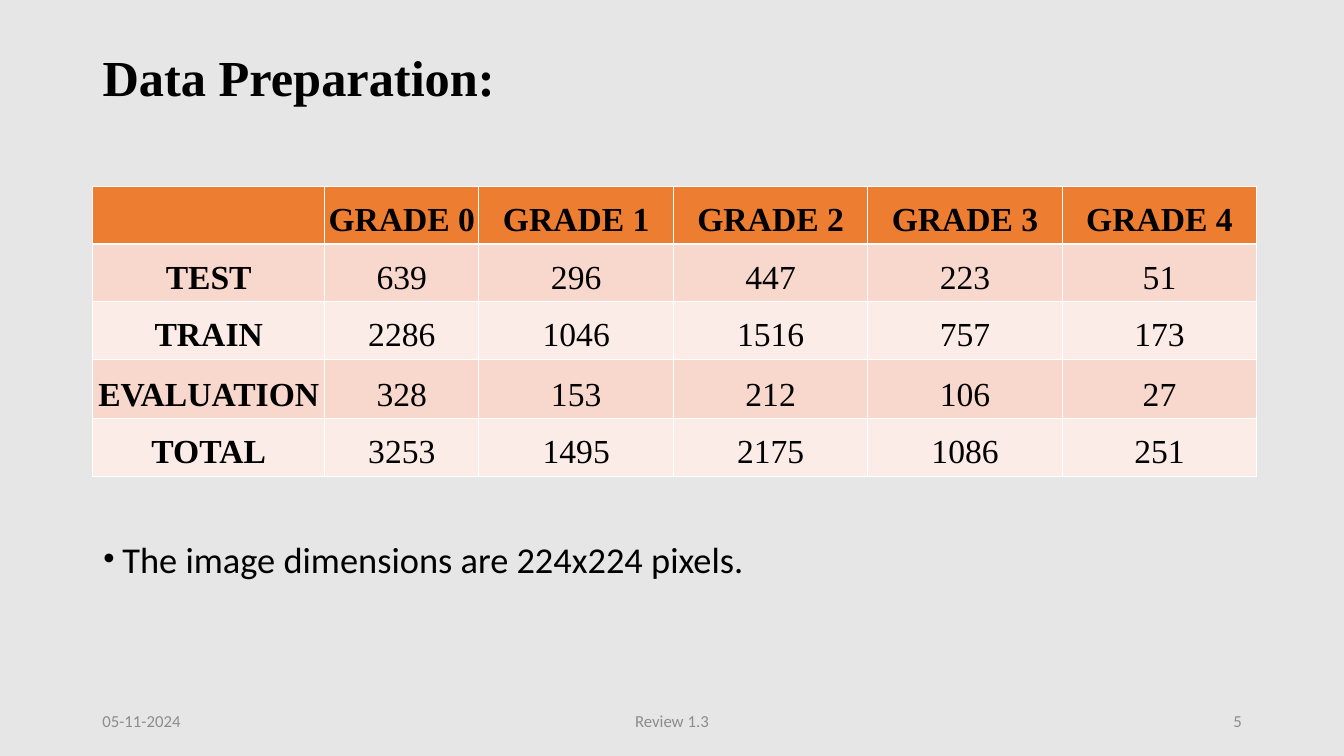
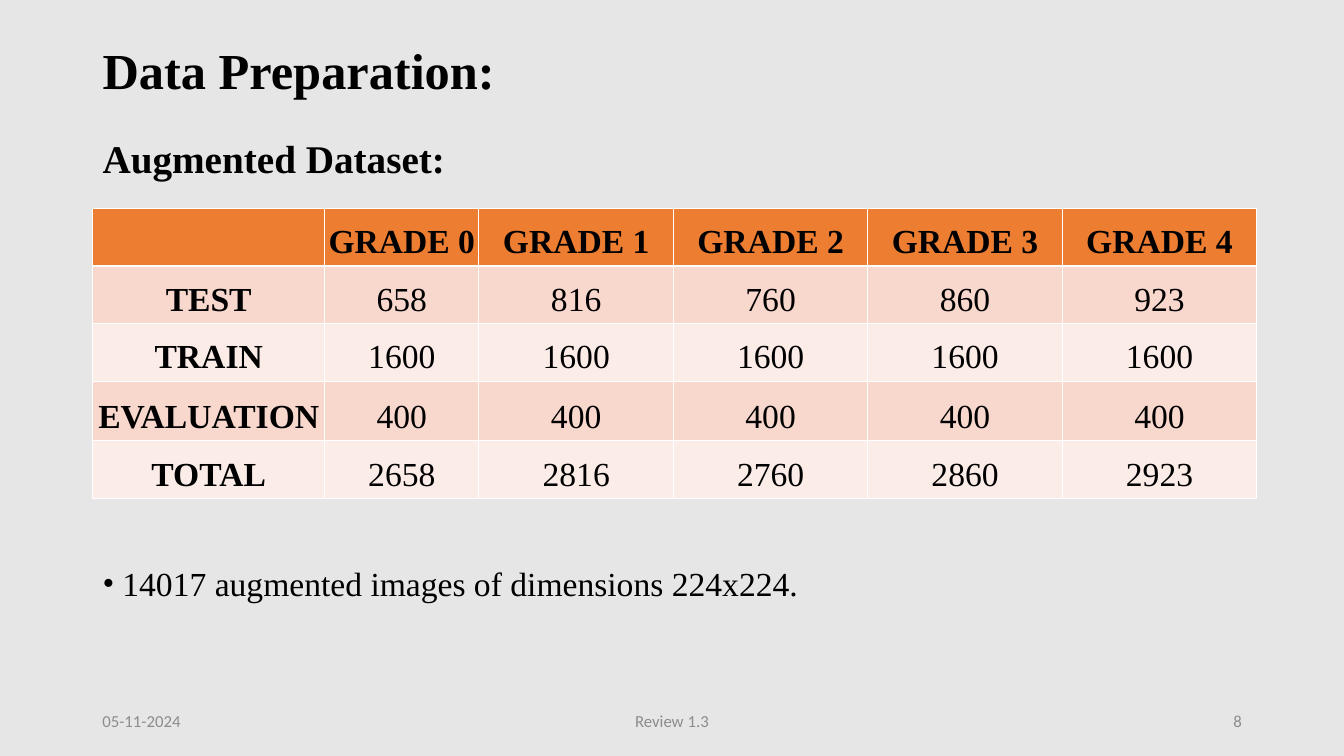
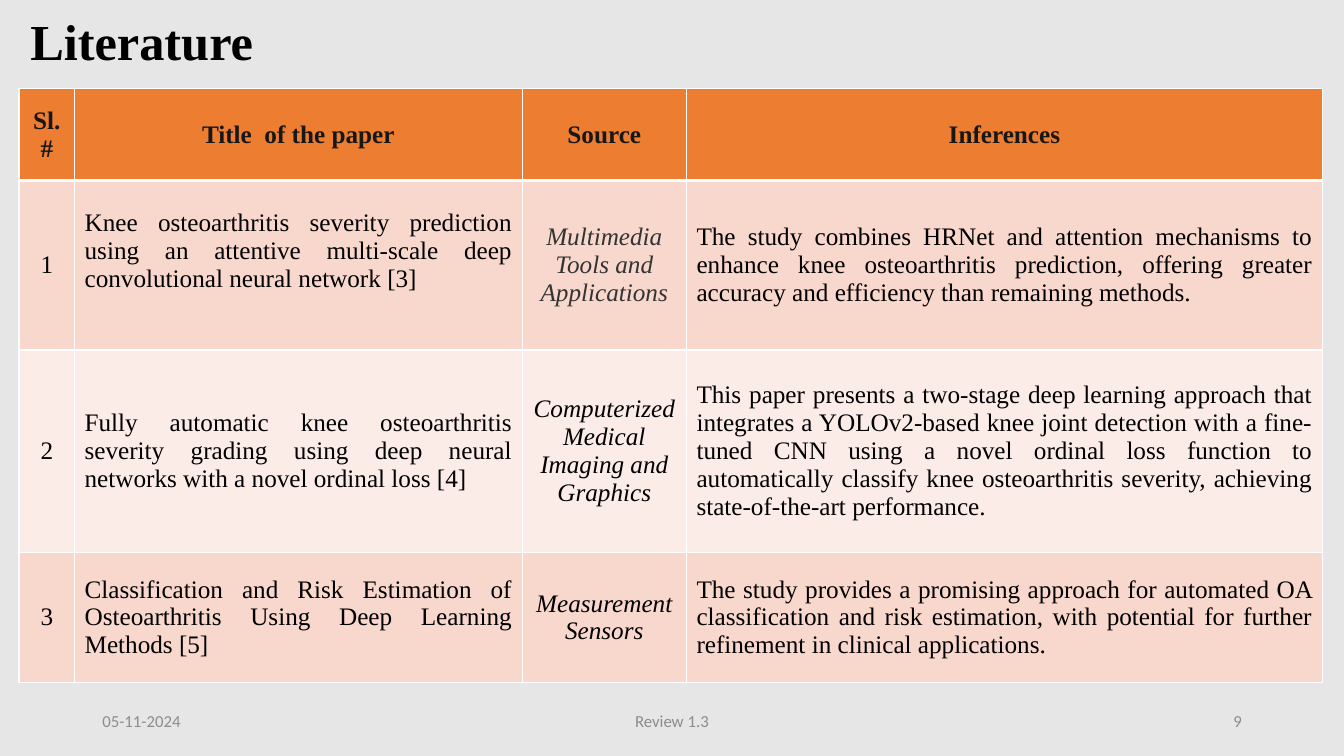
from lxml import etree
from pptx import Presentation
from pptx.dml.color import RGBColor
from pptx.enum.text import MSO_ANCHOR, MSO_AUTO_SIZE, PP_ALIGN
from pptx.oxml.ns import qn
from pptx.util import Cm, Pt

LEFT, CENTER, RIGHT, JUSTIFY = PP_ALIGN.LEFT, PP_ALIGN.CENTER, PP_ALIGN.RIGHT, PP_ALIGN.JUSTIFY
TOP, MIDDLE, BOTTOM = MSO_ANCHOR.TOP, MSO_ANCHOR.MIDDLE, MSO_ANCHOR.BOTTOM
NO_FIT = MSO_AUTO_SIZE.NONE

BACKGROUND = RGBColor(0xE7, 0xE6, 0xE6)
BLACK = RGBColor(0x00, 0x00, 0x00)
WHITE = RGBColor(0xFF, 0xFF, 0xFF)
GREY = RGBColor(0x8C, 0x8C, 0x8C)
HEADER_TEXT = RGBColor(0x18, 0x17, 0x17)
SOURCE_TEXT = RGBColor(0x33, 0x33, 0x33)
ORANGE = RGBColor(0xED, 0x7D, 0x31)
BANDS = [RGBColor(0xFC, 0xEC, 0xE8), RGBColor(0xF8, 0xD7, 0xCD)]

SERIF = "Times New Roman"
SANS = "Calibri"
TITLE_AND_BODY, TITLE_ONLY = 1, 5

FOOTER_TOP, FOOTER_HEIGHT = 17.65, 1.02
DATE, REVIEW = "05-11-2024", "Review 1.3"

GRADE_WIDTHS = [5.84, 3.89] + [4.9] * 4
GRADE_HEIGHTS = [1.45, 1.45, 1.45, 1.5, 1.45]
GRADE_HEADER = [""] + [f"GRADE {grade}" for grade in range(5)]
ORIGINAL_COUNTS = [
    GRADE_HEADER,
    ["TEST", 639, 296, 447, 223, 51],
    ["TRAIN", 2286, 1046, 1516, 757, 173],
    ["EVALUATION", 328, 153, 212, 106, 27],
    ["TOTAL", 3253, 1495, 2175, 1086, 251],
]
AUGMENTED_COUNTS = [
    GRADE_HEADER,
    ["TEST", 658, 816, 760, 860, 923],
    ["TRAIN"] + [1600] * 5,
    ["EVALUATION"] + [400] * 5,
    ["TOTAL", 2658, 2816, 2760, 2860, 2923],
]

PAPER_WIDTHS = [1.4, 11.28, 4.14, 16.03]
PAPER_HEIGHTS = [2.31, 4.27, 5.1, 3.28]
PAPER_ALIGNS = [CENTER, JUSTIFY, CENTER, JUSTIFY]
SOURCE_COLUMN = 2
PAPERS = [
    ["Sl. #", "Title  of the paper", "Source", "Inferences"],
    [
        1,
        "Knee osteoarthritis severity prediction using an attentive multi-scale "
        "deep convolutional neural network [3]",
        "Multimedia Tools and Applications",
        "The study combines HRNet and attention mechanisms to enhance knee "
        "osteoarthritis prediction, offering greater accuracy and efficiency "
        "than remaining methods.",
    ],
    [
        2,
        "Fully automatic knee osteoarthritis severity grading using deep neural "
        "networks with a novel ordinal loss [4]",
        "Computerized Medical Imaging and Graphics",
        "This paper presents a two-stage deep learning approach that integrates "
        "a YOLOv2-based knee joint detection with a fine-tuned CNN using a novel "
        "ordinal loss function to automatically classify knee osteoarthritis "
        "severity, achieving state-of-the-art performance.",
    ],
    [
        3,
        "Classification and Risk Estimation of Osteoarthritis Using Deep Learning "
        "Methods [5]",
        "Measurement Sensors",
        "The study provides a promising approach for automated OA classification "
        "and risk estimation, with potential for further refinement in clinical "
        "applications.",
    ],
]


def style(para, name, size, color, bold=False, italic=False, align=LEFT):
    para.alignment = align
    font = para.font
    font.name, font.size = name, Pt(size)
    font.bold, font.italic = bold, italic
    font.color.rgb = color


def place(shape, left, top, width, height, anchor):
    shape.left, shape.top = Cm(left), Cm(top)
    shape.width, shape.height = Cm(width), Cm(height)
    frame = shape.text_frame
    frame.word_wrap = True
    frame.auto_size = NO_FIT
    frame.vertical_anchor = anchor
    return frame


def add_title(page, box, title, subtitle=None):
    frame = place(page.shapes.title, *box, MIDDLE)
    frame.text = title
    heading = frame.paragraphs[0]
    style(heading, SERIF, 36, BLACK, bold=True)
    heading.line_spacing = 0.9
    if subtitle:
        para = frame.add_paragraph()
        para.text = subtitle
        style(para, SERIF, 28, BLACK, bold=True)
        para.line_spacing = 0.9
        para.space_before = Pt(28)


def add_note(page, box, text, name, size):
    frame = place(page.placeholders[1], *box, TOP)
    frame.text = text
    para = frame.paragraphs[0]
    style(para, name, size, BLACK)
    para.space_before = Pt(0)
    properties = para._p.get_or_add_pPr()
    properties.set("marL", str(Cm(0.5)))
    properties.set("indent", str(-Cm(0.5)))
    bullet_font = etree.Element(qn("a:buFont"), typeface=SERIF)
    bullet = etree.Element(qn("a:buChar"), char="•")
    defaults = properties.find(qn("a:defRPr"))
    defaults.addprevious(bullet_font)
    defaults.addprevious(bullet)


def add_footer(page, number):
    parts = [
        (2.33, 7.62, DATE, LEFT),
        (11.22, 11.43, REVIEW, CENTER),
        (23.93, 7.62, str(number), RIGHT),
    ]
    for left, width, text, align in parts:
        box = page.shapes.add_textbox(0, 0, 0, 0)
        frame = place(box, left, FOOTER_TOP, width, FOOTER_HEIGHT, MIDDLE)
        frame.text = text
        style(frame.paragraphs[0], SANS, 12, GREY, align=align)


def set_borders(cell, widths):
    properties = cell._tc.get_or_add_tcPr()
    for side, width in zip("LRTB", widths):
        line = etree.SubElement(properties, qn(f"a:ln{side}"), w=str(Pt(width)))
        fill = etree.SubElement(line, qn("a:solidFill"))
        etree.SubElement(fill, qn("a:srgbClr"), val=str(WHITE))


def add_grid(page, left, top, widths, heights, rows, thin, thick):
    table = page.shapes.add_table(
        len(rows), len(widths), Cm(left), Cm(top), Cm(sum(widths)), Cm(sum(heights))
    ).table
    table.horz_banding = False
    for column, width in zip(table.columns, widths):
        column.width = Cm(width)
    for r, (row, height) in enumerate(zip(rows, heights)):
        table.rows[r].height = Cm(height)
        above = thick if r == 1 else thin
        below = thick if r == 0 else thin
        for c, value in enumerate(row):
            cell = table.cell(r, c)
            cell.text = str(value)
            set_borders(cell, [thin, thin, above, below])
            cell.fill.solid()
            cell.fill.fore_color.rgb = BANDS[r % 2] if r else ORANGE
    return table


def add_grade_table(page, left, top, counts):
    table = add_grid(page, left, top, GRADE_WIDTHS, GRADE_HEIGHTS, counts, 0.75, 1.92)
    for r in range(len(counts)):
        for c in range(len(GRADE_WIDTHS)):
            cell = table.cell(r, c)
            cell.vertical_anchor = BOTTOM
            cell.margin_left = cell.margin_top = cell.margin_right = Cm(0.03)
            cell.margin_bottom = Cm(0.13)
            style(cell.text_frame.paragraphs[0], SERIF, 24, BLACK,
                  bold=r == 0 or c == 0, align=CENTER)


def add_paper_table(page, left, top):
    table = add_grid(page, left, top, PAPER_WIDTHS, PAPER_HEIGHTS, PAPERS, 1, 3)
    for r in range(len(PAPERS)):
        for c, align in enumerate(PAPER_ALIGNS):
            cell = table.cell(r, c)
            cell.vertical_anchor = MIDDLE
            para = cell.text_frame.paragraphs[0]
            if r == 0:
                style(para, SERIF, 18, HEADER_TEXT, bold=True, align=CENTER)
            else:
                style(para, SERIF, 18, BLACK, italic=c == SOURCE_COLUMN, align=align)
    table.cell(1, SOURCE_COLUMN).text_frame.paragraphs[0].font.color.rgb = SOURCE_TEXT
    table.cell(1, 1).margin_bottom = Cm(0.83)


def new_page(deck, layout, number):
    page = deck.slides.add_slide(deck.slide_layouts[layout])
    add_footer(page, number)
    return page


def main():
    deck = Presentation()
    deck.slide_width, deck.slide_height = Cm(33.87), Cm(19.05)
    background = deck.slide_master.background.fill
    background.solid()
    background.fore_color.rgb = BACKGROUND

    page = new_page(deck, TITLE_AND_BODY, 5)
    add_title(page, (2.33, 1.02, 29.21, 1.98), "Data Preparation:")
    add_grade_table(page, 2.34, 4.7, ORIGINAL_COUNTS)
    add_note(page, (2.33, 13.4, 27.84, 1.4),
             "The image dimensions are 224x224 pixels.", SANS, 26)

    page = new_page(deck, TITLE_AND_BODY, 8)
    add_title(page, (2.33, 1.02, 29.21, 3.68), "Data Preparation:", "Augmented Dataset:")
    add_grade_table(page, 2.34, 5.26, AUGMENTED_COUNTS)
    add_note(page, (2.33, 14.05, 27.84, 1.4),
             "14017 augmented images of dimensions 224x224.", SERIF, 24)

    page = new_page(deck, TITLE_ONLY, 9)
    add_title(page, (0.51, 0, 29.21, 2.24), "Literature")
    add_paper_table(page, 0.48, 2.24)

    deck.save("out.pptx")


if __name__ == "__main__":
    main()
